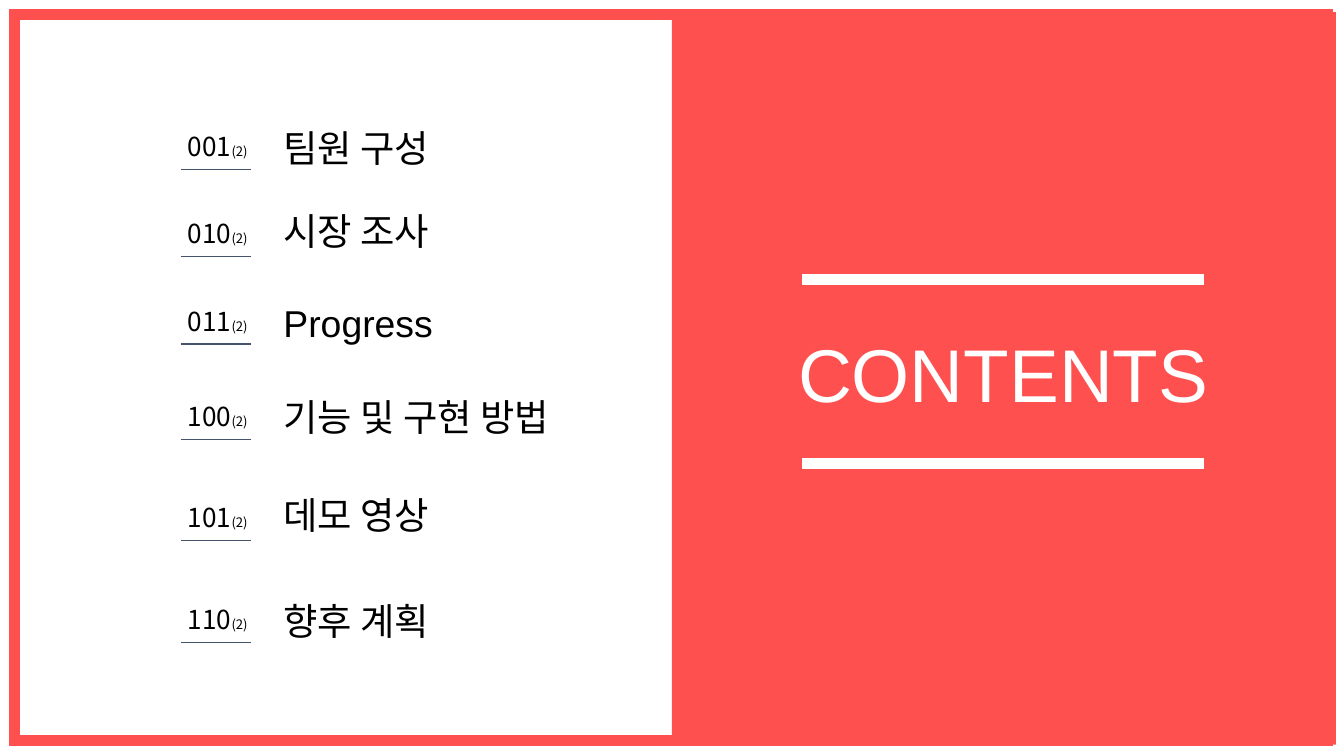
import pptx
import pptx.util
import pptx.dml.color
import pptx.enum.shapes
import pptx.enum.text
import pptx.oxml.ns
from lxml import etree

TITLE = "CONTENTS"
BASE = "(2)"
ROWS = [
    ("001", "팀원 구성", 1.26, 0.87),
    ("010", "시장 조사", 1.91, 1.49),
    ("011", "Progress", 2.56, 2.17),
    ("100", "기능 및 구현 방법", 3.27, 2.87),
    ("101", "데모 영상", 4.02, 3.6),
    ("110", "향후 계획", 4.78, 4.39),
]
COLORS = {"accent": "FF5050", "white": "FFFFFF", "text": "000000", "rule": "44546A"}
LATIN_FONT = "Arial"
KOREAN_FONT = "Noto Sans CJK KR"
WIDTH, HEIGHT = 10, 10 * 9 / 16
NUMBER_LEFT, LABEL_LEFT = 1.3, 2.01
RULE_LEFT, RULE_RIGHT = 1.35, 1.87
NUMBER_RISE = 0.39
BAR_LEFT, BAR_RIGHT = 5.97, 8.96
BAR_TOPS = (2.08, 3.45)

inches = pptx.util.Inches


def color(name):
    return pptx.dml.color.RGBColor.from_string(COLORS[name])


def add_child(parent, tag):
    return etree.SubElement(parent, pptx.oxml.ns.qn(tag))


def format_run(run, size, font, color_name):
    run.font.size = pptx.util.Pt(size)
    run.font.name = font
    run.font.color.rgb = color(color_name)
    add_child(run.font._element, "a:ea").set("typeface", KOREAN_FONT)


def add_rectangle(slide, left, top, width, height):
    shape = slide.shapes.add_shape(
        pptx.enum.shapes.MSO_SHAPE.RECTANGLE,
        inches(left), inches(top), inches(width), inches(height))
    shape.shadow.inherit = False
    return shape


def add_rule(slide, left, right, y, color_name, weight):
    connector = slide.shapes.add_connector(
        pptx.enum.shapes.MSO_CONNECTOR.STRAIGHT,
        inches(left), inches(y), inches(right), inches(y))
    connector.line.color.rgb = color(color_name)
    connector.line.width = pptx.util.Pt(weight)
    add_child(connector._element.spPr, "a:effectLst")


def add_text(slide, left, top, width, height, parts, font, spacing=None):
    box = slide.shapes.add_textbox(
        inches(left), inches(top), inches(width), inches(height))
    frame = box.text_frame
    frame.word_wrap = True
    frame.auto_size = pptx.enum.text.MSO_AUTO_SIZE.SHAPE_TO_FIT_TEXT
    frame.margin_left = frame.margin_right = inches(0.1)
    frame.margin_top = frame.margin_bottom = inches(0.1)
    paragraph = frame.paragraphs[0]
    paragraph.line_spacing = spacing
    for text, size in parts:
        run = paragraph.add_run()
        run.text = text
        format_run(run, size, font, "text")


def add_panels(slide):
    frame = add_rectangle(slide, 0.11, 0.11, 9.77, 5.4)
    frame.fill.background()
    frame.line.color.rgb = color("accent")
    frame.line.width = pptx.util.Pt(6)
    add_child(frame.line._get_or_add_ln(), "a:miter").set("lim", "800000")
    panel = add_rectangle(slide, WIDTH / 2, 0.09, 4.94, 5.45)
    panel.fill.solid()
    panel.fill.fore_color.rgb = color("accent")
    panel.line.fill.background()
    return frame, panel


def format_title(title):
    title.left, title.top = inches(5.68), inches(2.01)
    title.width, title.height = inches(3.57), inches(1.61)
    frame = title.text_frame
    frame.text = TITLE
    frame.word_wrap = True
    frame.auto_size = pptx.enum.text.MSO_AUTO_SIZE.NONE
    frame.vertical_anchor = pptx.enum.text.MSO_ANCHOR.MIDDLE
    frame.margin_left = frame.margin_right = inches(0.07)
    frame.margin_top = frame.margin_bottom = inches(0.04)
    paragraph = frame.paragraphs[0]
    paragraph.alignment = pptx.enum.text.PP_ALIGN.CENTER
    paragraph.line_spacing = 0.9
    format_run(paragraph.runs[0], 40, LATIN_FONT, "white")


def main():
    presentation = pptx.Presentation()
    presentation.slide_width = inches(WIDTH)
    presentation.slide_height = inches(HEIGHT)
    slide = presentation.slides.add_slide(presentation.slide_layouts[5])
    title = slide.shapes.title
    for shape in add_panels(slide):
        title._element.addprevious(shape._element)
    format_title(title)
    for y in BAR_TOPS:
        add_rule(slide, BAR_LEFT, BAR_RIGHT, y, "white", 6)
    for number, label, rule_y, label_top in ROWS:
        add_text(slide, NUMBER_LEFT, rule_y - NUMBER_RISE, 0.71, 0.44,
                 [(number, 14), (BASE, 7)], KOREAN_FONT)
        add_rule(slide, RULE_LEFT, RULE_RIGHT, rule_y, "rule", 0.75)
        add_text(slide, LABEL_LEFT, label_top, 3.28, 0.5,
                 [(label, 20)], LATIN_FONT, 0.9)
    presentation.save("out.pptx")


if __name__ == "__main__":
    main()
